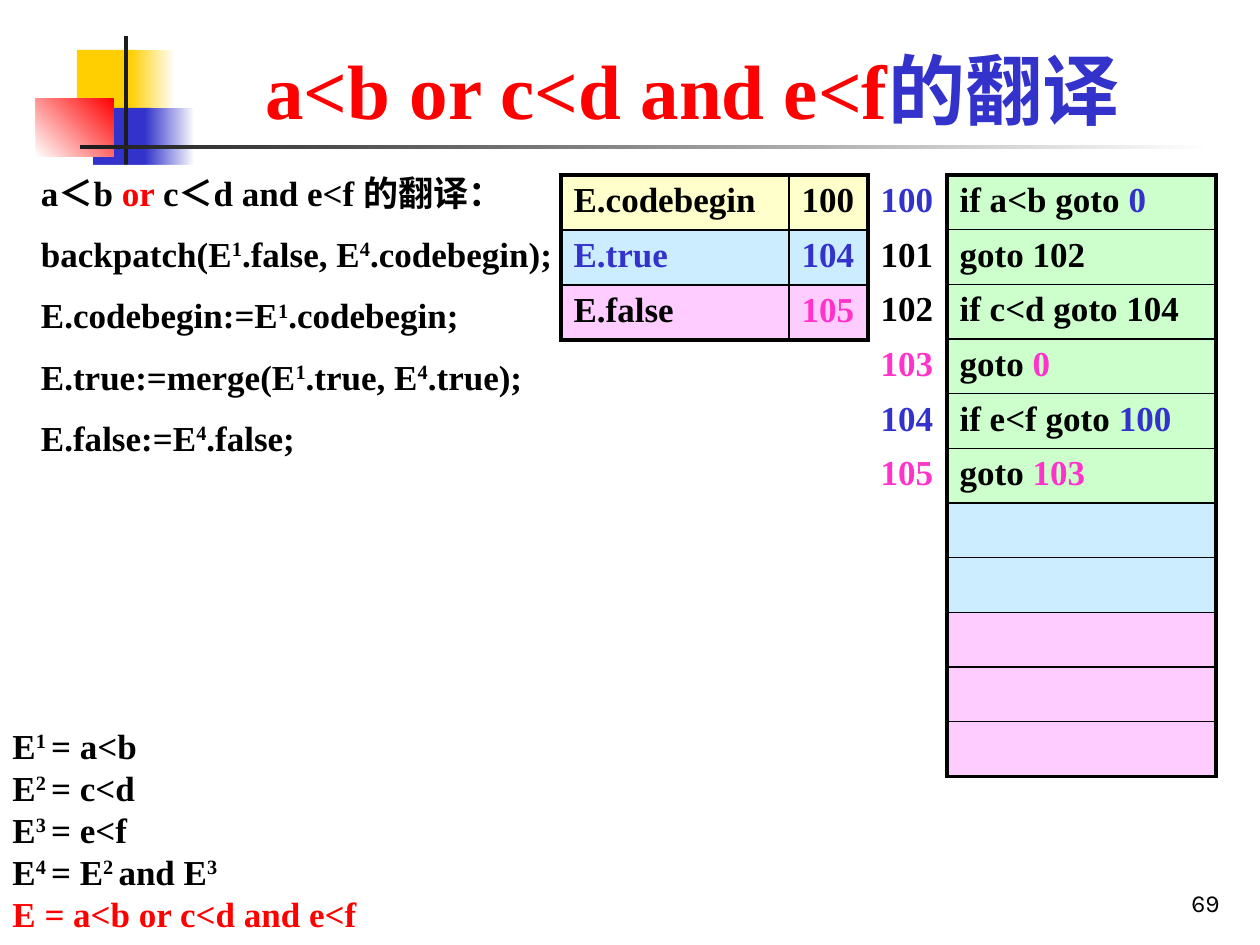
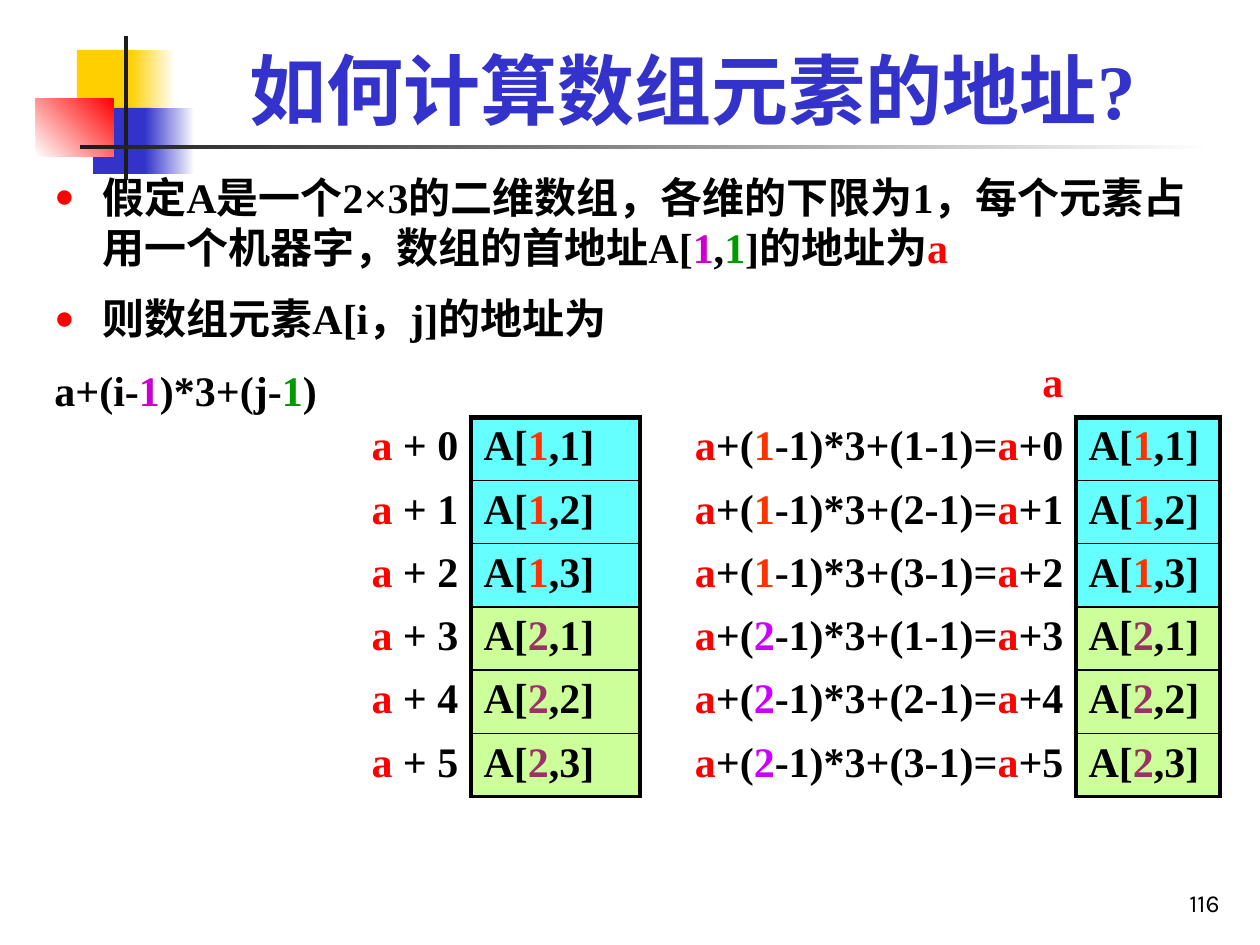
from lxml.etree import SubElement
from pptx import Presentation
from pptx.dml.color import RGBColor
from pptx.enum.lang import MSO_LANGUAGE_ID as Language
from pptx.enum.shapes import MSO_SHAPE as Shape
from pptx.enum.text import MSO_ANCHOR as Anchor, PP_ALIGN as Align
from pptx.oxml.ns import qn
from pptx.util import Emu, Pt

BLACK = RGBColor(0x00, 0x00, 0x00)
WHITE = RGBColor(0xFF, 0xFF, 0xFF)
INK = RGBColor(0x1C, 0x1C, 0x1C)
RED = RGBColor(0xFF, 0x00, 0x00)
BLUE = RGBColor(0x33, 0x33, 0xCC)
GOLD = RGBColor(0xFF, 0xCF, 0x01)
PINK = RGBColor(0xFF, 0x33, 0xCC)
PURPLE = RGBColor(0xCC, 0x00, 0xCC)
VIOLET = RGBColor(0xCC, 0x00, 0xFF)
GREEN = RGBColor(0x00, 0x99, 0x00)
ORANGE = RGBColor(0xFF, 0x33, 0x00)
PLUM = RGBColor(0x99, 0x33, 0x66)
PALE_YELLOW = RGBColor(0xFF, 0xFF, 0xCC)
PALE_BLUE = RGBColor(0xCC, 0xEC, 0xFF)
PALE_PINK = RGBColor(0xFF, 0xCC, 0xFF)
PALE_GREEN = RGBColor(0xCC, 0xFF, 0xCC)
CYAN = RGBColor(0x66, 0xFF, 0xFF)
LIME = RGBColor(0xCC, 0xFF, 0x99)

SERIF = "Times New Roman"
SANS = "Karla"
PLAIN_TABLE = "{2D5ABB26-0587-4C30-8999-92F81FD0307C}"
SCALE = 914400 / 126


def raised(text):
    return text, BLACK, 30


MOTIF = [
    ((77, 50, 60, 66), GOLD, None, 0),
    ((130, 50, 45, 66), GOLD, WHITE, 0),
    ((93, 108, 58, 66), BLUE, None, 0),
    ((145, 108, 50, 66), BLUE, WHITE, 0),
    ((36, 98, 78, 59), WHITE, RED, 45),
    ((124, 36, 4, 144), INK, None, 0),
    ((80, 145, 1134, 4), INK, WHITE, 0),
]

TRANSLATION_TITLE = [("a<b or c<d and e<f", RED), ("的翻译", BLUE)]
TRANSLATION_STEPS = [
    ["a＜b ", ("or ", RED), "c＜d and e<f 的翻译："],
    ["backpatch(E", raised("1"), ".false, E", raised("4"), ".codebegin);"],
    ["E.codebegin:=E", raised("1"), ".codebegin;"],
    ["E.true:=merge(E", raised("1"), ".true, E", raised("4"), ".true);"],
    ["E.false:=E", raised("4"), ".false;"],
]
SUBEXPRESSIONS = [
    ["E", raised("1 "), "= a<b"],
    ["E", raised("2 "), "= c<d"],
    ["E", raised("3 "), "= e<f"],
    ["E", raised("4 "), "= E", raised("2 "), "and E", raised("3")],
    [("E = a<b or c<d and e<f", RED)],
]
CODE = [
    ([("100", BLUE)], ["if a<b goto ", ("0", BLUE)]),
    (["101"], ["goto 102"]),
    (["102"], ["if c<d goto 104"]),
    ([("103", PINK)], ["goto ", ("0", PINK)]),
    ([("104", BLUE)], ["if e<f goto ", ("100", BLUE)]),
    ([("105", PINK)], ["goto ", ("103", PINK)]),
] + [([], [])] * 5
CODE_FILLS = [PALE_GREEN] * 6 + [PALE_BLUE] * 2 + [PALE_PINK] * 3
ATTRIBUTES = [
    (["E.codebegin"], ["100"]),
    ([("E.true", BLUE)], [("104", BLUE)]),
    (["E.false"], [("105", PINK)]),
]
ATTRIBUTE_FILLS = [PALE_YELLOW, PALE_BLUE, PALE_PINK]

ADDRESS_TITLE = [("如何计算数组元素的地址?", BLUE)]
ADDRESS_POINTS = [
    ["假定A是一个2×3的二维数组，各维的下限为1，每个元素占用一个机器字，数组的首地址A[",
     ("1", PURPLE), ",", ("1", GREEN), "]的地址为", ("a", RED)],
    ["则数组元素A[i，j]的地址为"],
    ["a+(i-", ("1", PURPLE), ")*3+(j-", ("1", GREEN), ")"],
]
BULLETED = 2
ROW_STYLES = {1: (CYAN, ORANGE, ORANGE), 2: (LIME, PLUM, VIOLET)}
COLUMNS = (1, 2, 3)


def px(length):
    return Emu(round(length * SCALE))


def place(box):
    return [px(length) for length in box]


def write(para, spans, size, align=None, font=SERIF, bold=True):
    para.alignment = align
    para.font.name = font
    para.font.size = Pt(size)
    para.font.bold = bold
    para.font.color.rgb = BLACK
    for part in spans:
        text, colour, lift = part if len(part) == 3 and isinstance(part, tuple) else (
            (*part, 0) if isinstance(part, tuple) else (part, BLACK, 0))
        span = para.add_run()
        span.text = text
        span.font.color.rgb = colour
        span.font.language_id = Language.SIMPLIFIED_CHINESE
        if lift:
            span._r.get_or_add_rPr().set("baseline", str(lift * 1000))


def add_bullet(para):
    properties = para._p.get_or_add_pPr()
    properties.set("marL", str(px(48)))
    properties.set("indent", str(-px(48)))
    SubElement(SubElement(properties, qn("a:buClr")), qn("a:srgbClr"), val=str(RED))
    SubElement(properties, qn("a:buSzPct"), val="80000")
    SubElement(properties, qn("a:buFont"), typeface=SERIF)
    SubElement(properties, qn("a:buChar"), char="●")


def add_text(page, box, lines, size, gap=0, bulleted=0, anchor=Anchor.TOP, **style):
    shape = page.shapes.add_textbox(*place(box))
    frame = shape.text_frame
    frame.word_wrap = True
    frame.vertical_anchor = anchor
    for index, spans in enumerate(lines):
        para = frame.paragraphs[0] if index == 0 else frame.add_paragraph()
        if index and gap:
            para.space_before = Pt(gap)
        if index < bulleted:
            add_bullet(para)
        write(para, spans, size, **style)
    return shape


def add_border(cell, side, width):
    line = SubElement(cell._tc.get_or_add_tcPr(), qn(f"a:ln{side}"), w=str(Pt(width)))
    SubElement(SubElement(line, qn("a:solidFill")), qn("a:srgbClr"), val=str(BLACK))


def add_grid(page, box, widths, rows, fills, size, boxed_from=(0, 0),
             outer=(2.25, 2.25), align=None):
    table = page.shapes.add_table(len(rows), len(widths), *place(box)).table
    table.first_row = table.horz_banding = False
    table._tbl.tblPr.find(qn("a:tableStyleId")).text = PLAIN_TABLE
    for column, width in zip(table.columns, widths):
        column.width = px(width)
    first_row, first_column = boxed_from
    near, far = outer
    for row, contents in enumerate(rows):
        table.rows[row].height = px(box[3] / len(rows))
        for column, spans in enumerate(contents):
            cell = table.cell(row, column)
            boxed = row >= first_row and column >= first_column
            if boxed:
                add_border(cell, "L", near if column == first_column else 1)
                add_border(cell, "R", far if column == len(widths) - 1 else 1)
                add_border(cell, "T", near if row == first_row else 1)
                add_border(cell, "B", far if row == len(rows) - 1 else 1)
                cell.fill.solid()
                cell.fill.fore_color.rgb = fills[row - first_row]
            else:
                cell.fill.background()
            write(cell.text_frame.paragraphs[0], spans, size,
                  align=None if boxed else align)


def add_page(deck, title, number):
    page = deck.slides.add_slide(deck.slide_layouts[6])
    for box, start, end, angle in MOTIF:
        block = page.shapes.add_shape(Shape.RECTANGLE, *place(box))
        block.shadow.inherit = False
        block.line.fill.background()
        if end is None:
            block.fill.solid()
            block.fill.fore_color.rgb = start
        else:
            block.fill.gradient()
            block.fill.gradient_angle = angle
            for stop, colour in zip(block.fill.gradient_stops, (start, end)):
                stop.color.rgb = colour
    add_text(page, (970, 861, 262, 63), [[number]], 14, anchor=Anchor.BOTTOM,
             align=Align.RIGHT, font=SANS, bold=False)
    return page


def add_title(page, title):
    add_text(page, (154, 45, 1077, 96), [title], 44, anchor=Anchor.BOTTOM,
             align=Align.CENTER)


def build_translation(deck):
    page = add_page(deck, TRANSLATION_TITLE, "69")
    steps = add_text(page, (-35, 165, 630, 307), TRANSLATION_STEPS, 20, gap=11)
    steps.text_frame.margin_left = px(76)
    steps.text_frame.margin_right = 0
    steps.fill.solid()
    steps.fill.fore_color.rgb = WHITE
    add_title(page, TRANSLATION_TITLE)
    add_grid(page, (868, 175, 348, 601), (79, 269), CODE, CODE_FILLS, 20,
             boxed_from=(0, 1))
    add_grid(page, (561, 175, 307, 165), (228, 79), ATTRIBUTES, ATTRIBUTE_FILLS, 20)
    add_text(page, (0, 718, 446, 224), SUBEXPRESSIONS, 20)


def build_addresses(deck):
    page = add_page(deck, ADDRESS_TITLE, "116")
    add_text(page, (42, 165, 1193, 684), ADDRESS_POINTS, 24, gap=12, bulleted=BULLETED)
    add_title(page, ADDRESS_TITLE)
    base = ("a", RED)
    offsets, formulas, fills = [([], [])], [([base], [])], []
    for i, (fill, index_colour, formula_colour) in ROW_STYLES.items():
        for j in COLUMNS:
            offset = len(fills)
            element = ["A[", (str(i), index_colour), f",{j}]"]
            offsets.append(([base, f" + {offset}"], element))
            formulas.append(([base, "+(", (str(i), formula_colour),
                              f"-1)*3+({j}-1)=", base, f"+{offset}"], element))
            fills.append(fill)
    for left, widths, rows in ((322, (149, 169), offsets), (679, (397, 144), formulas)):
        add_grid(page, (left, 354, sum(widths), 443), widths, rows, fills, 24,
                 boxed_from=(1, 1), outer=(3, 2.25), align=Align.RIGHT)


def main():
    deck = Presentation()
    deck.slide_width, deck.slide_height = px(1260), px(945)
    build_translation(deck)
    build_addresses(deck)
    deck.save("out.pptx")


if __name__ == "__main__":
    main()
